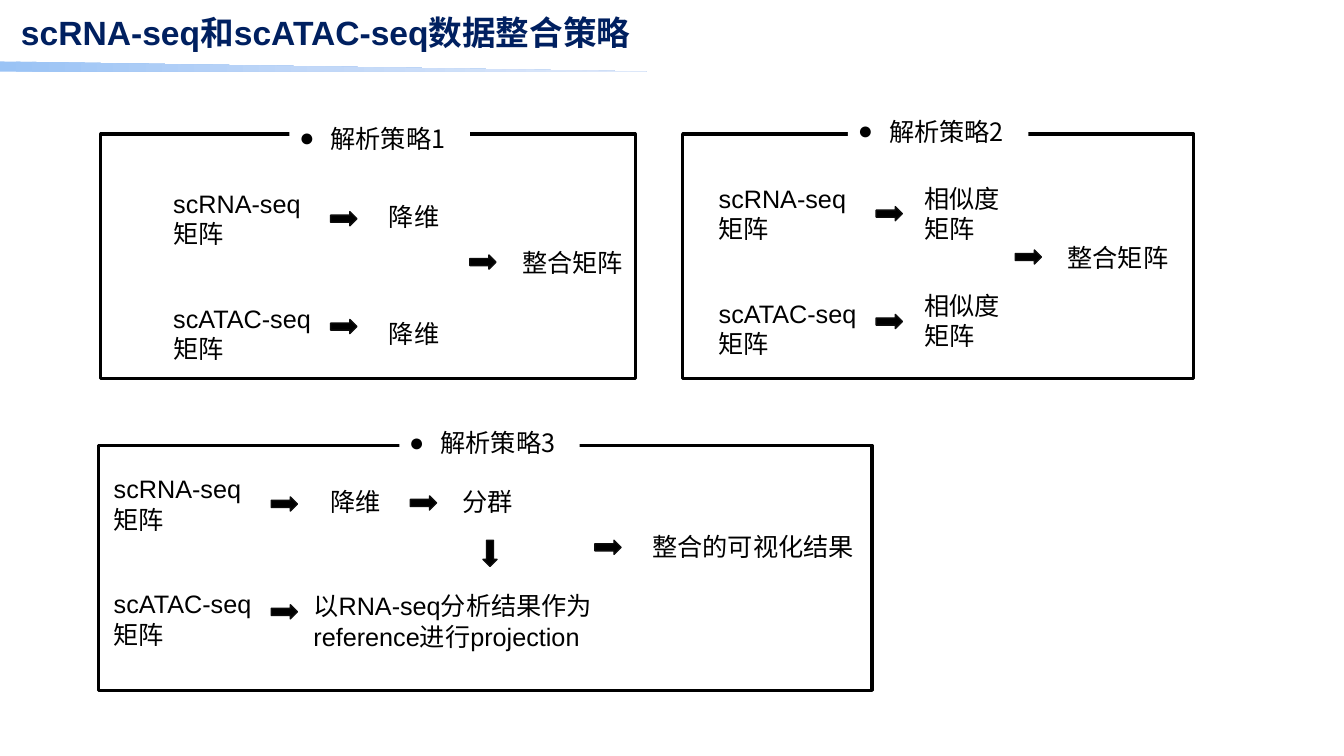
from copy import deepcopy

from pptx import Presentation
from pptx import util as u
from pptx.dml.color import RGBColor
from pptx.enum import shapes, text
from pptx.oxml import ns
from lxml import etree

TITLE = "scRNA-seq和scATAC-seq数据整合策略"
COLORS = {"title": "002060", "ink": "000000", "edge": "0D0D0D", "paper": "FFFFFF"}
BAND = [(0, "9AC3F5"), (0.5, "C2D8F8"), (1, "E1EBFB")]
LATIN, CJK = "Arial", "Noto Sans CJK SC"

# Steps (x, y, width, height, words) and arrows (x, y, rotation)
# are measured from the top left of each strategy's first matrix.
INPUTS = [(0, 0, 1.66, 0.71, "scRNA-seq矩阵"), (0, 1.14, 1.66, 0.71, "scATAC-seq矩阵")]
INPUT_ARROWS = [(1.66, 0.28, 0), (1.66, 1.35, 0)]
STRATEGIES = [
    {
        "caption": "解析策略1", "caption_at": (2.87, 1.17),
        "frame": (1, 1.33, 5.3, 2.43), "origin": (1.62, 1.82),
        "steps": [(2.14, 0.13, 0.73, 0.4, "降维"), (2.14, 1.29, 0.73, 0.4, "降维"),
                  (3.46, 0.58, 1.22, 0.4, "整合矩阵")],
        "arrows": [(3.04, 0.71, 0)],
    },
    {
        "caption": "解析策略2", "caption_at": (8.41, 1.1),
        "frame": (6.77, 1.33, 5.07, 2.43), "origin": (7.03, 1.77),
        "steps": [(2.04, 0, 1.06, 0.71, "相似度矩阵"), (2.04, 1.06, 1.06, 0.71, "相似度矩阵"),
                  (3.46, 0.58, 1.36, 0.4, "整合矩阵")],
        "arrows": [(3.04, 0.71, 0)],
    },
    {
        "caption": "解析策略3", "caption_at": (3.96, 4.19),
        "frame": (0.98, 4.42, 7.67, 2.43), "origin": (1.03, 4.65),
        "steps": [(2.15, 0.13, 0.73, 0.4, "降维"), (3.46, 0.13, 0.73, 0.4, "分群"),
                  (1.98, 1.16, 3.15, 0.71, "以RNA-seq分析结果作为reference进行projection"),
                  (5.34, 0.57, 2.28, 0.4, "整合的可视化结果")],
        "arrows": [(3.04, 0.27, 0), (3.7, 0.77, 90), (4.87, 0.71, 0)],
    },
]


def inches(*values):
    return [u.Inches(value) for value in values]


def add_shape(page, kind, place, fill=None, line=None, weight=1):
    shape = page.shapes.add_shape(kind, *inches(*place))
    shape.shadow.inherit = False
    if fill:
        shape.fill.solid()
        shape.fill.fore_color.rgb = RGBColor.from_string(fill)
    else:
        shape.fill.background()
    if line:
        shape.line.color.rgb = RGBColor.from_string(line)
        shape.line.width = u.Pt(weight)
    else:
        shape.line.fill.background()
    return shape


def write(box, words, font=LATIN, size=18, color=COLORS["ink"], bold=False, bullet=False):
    frame = box.text_frame
    settings = {"word_wrap": True, "vertical_anchor": text.MSO_ANCHOR.TOP,
                "auto_size": text.MSO_AUTO_SIZE.SHAPE_TO_FIT_TEXT}
    for name, value in settings.items():
        setattr(frame, name, value)
    para = frame.paragraphs[0]
    para.alignment = text.PP_ALIGN.LEFT
    if bullet:
        props = para._p.get_or_add_pPr()
        props.set("marL", str(u.Inches(0.31)))
        props.set("indent", str(-u.Inches(0.31)))
        etree.SubElement(props, ns.qn("a:buFont"), typeface=LATIN)
        etree.SubElement(props, ns.qn("a:buChar"), char="●")
    span = para.add_run()
    span.text = words
    for name, value in {"name": font, "size": u.Pt(size), "bold": bold}.items():
        setattr(span.font, name, value)
    span.font.color.rgb = RGBColor.from_string(color)
    etree.SubElement(span._r.get_or_add_rPr(), ns.qn("a:ea"), typeface=CJK)


def add_text(page, place, words, **style):
    write(page.shapes.add_textbox(*inches(*place)), words, **style)


def add_band(page):
    """Draw the tapering gradient under the title."""
    band = add_shape(page, shapes.MSO_SHAPE.RIGHT_TRIANGLE, (0, 0.61, 6.42, 0.1))
    band.fill.gradient()
    band.fill.gradient_angle = 0
    stops = band._element.spPr.find(".//" + ns.qn("a:gsLst"))
    stops.append(deepcopy(stops[0]))
    for stop, (position, color) in zip(band.fill.gradient_stops, BAND):
        stop.position = position
        stop.color.rgb = RGBColor.from_string(color)


def add_strategy(page, strategy):
    left, top = strategy["origin"]
    for x, y, width, height, words in INPUTS + strategy["steps"]:
        add_text(page, (left + x, top + y, width, height), words)
    for x, y, rotation in INPUT_ARROWS + strategy["arrows"]:
        arrow = add_shape(page, shapes.MSO_SHAPE.RIGHT_ARROW,
                          (left + x, top + y, 0.26, 0.14), COLORS["ink"], COLORS["edge"])
        arrow.rotation = rotation
    add_shape(page, shapes.MSO_SHAPE.RECTANGLE, strategy["frame"],
              line=COLORS["ink"], weight=2.25)
    caption = add_shape(page, shapes.MSO_SHAPE.RECTANGLE,
                        (*strategy["caption_at"], 1.79, 0.4), COLORS["paper"])
    write(caption, strategy["caption"], font=CJK, bullet=True)


def main():
    deck = Presentation()
    deck.slide_width, deck.slide_height = inches(13.33, 7.5)
    page = deck.slides.add_slide(deck.slide_layouts[6])
    add_band(page)
    add_text(page, (0.11, 0.07, 13.2, 0.5), TITLE, size=24, color=COLORS["title"], bold=True)
    for strategy in STRATEGIES:
        add_strategy(page, strategy)
    deck.save("out.pptx")


if __name__ == "__main__":
    main()
